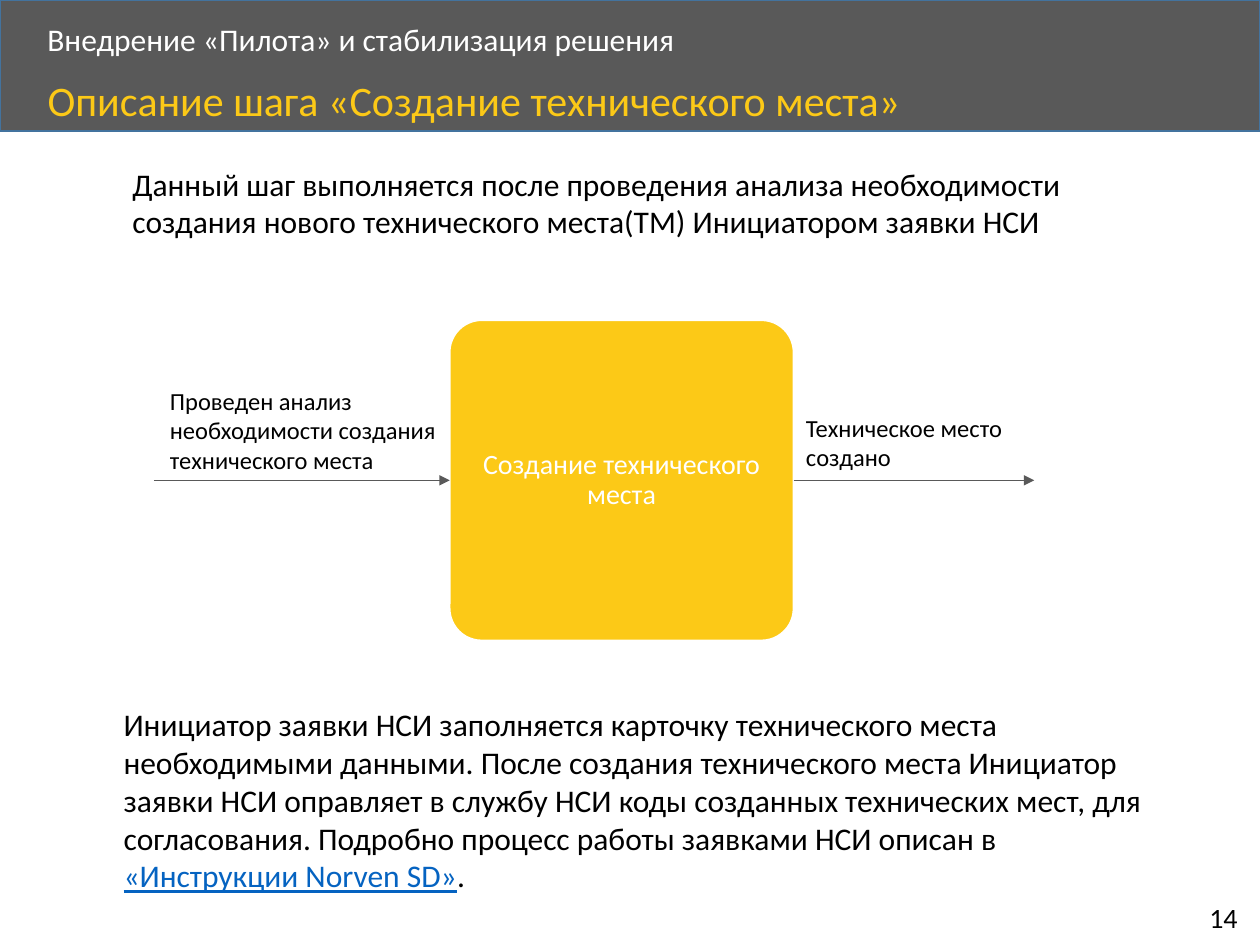
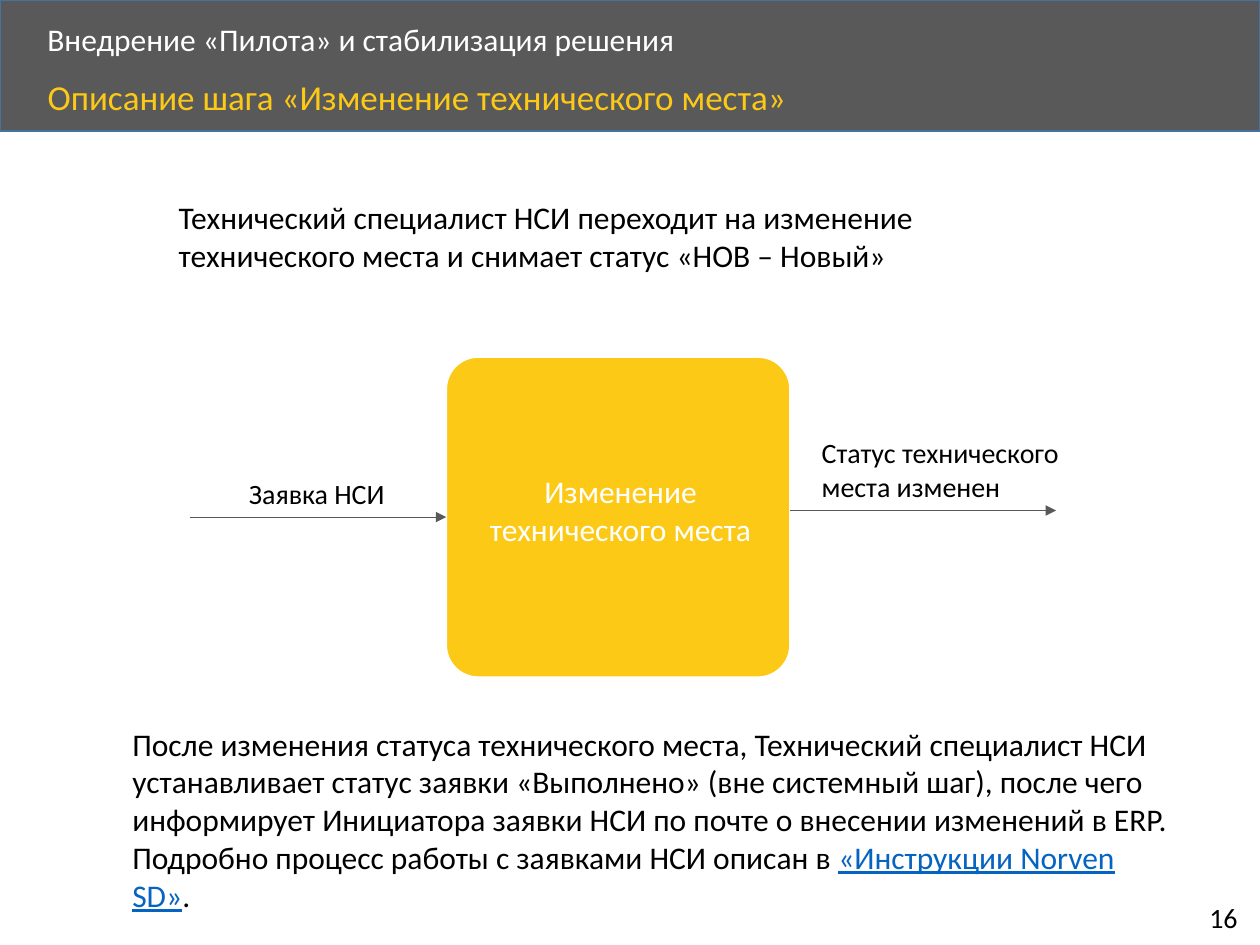
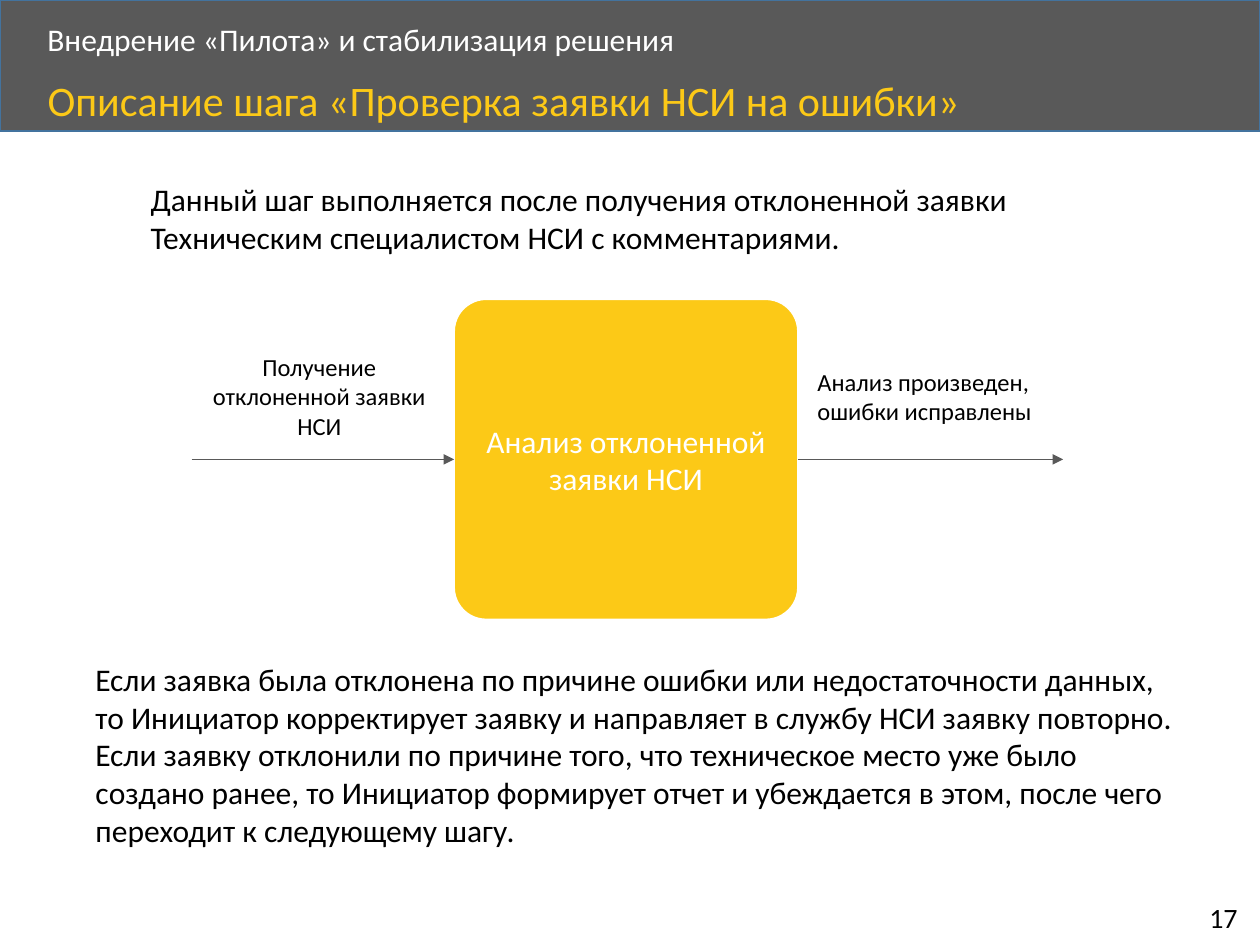
"""Build three slides that describe steps of the technical place process."""
import dataclasses

import lxml.etree
import pptx
import pptx.dml.color
import pptx.enum.shapes
import pptx.enum.text
import pptx.oxml.ns
import pptx.util

Pt = pptx.util.Pt
ALIGN = pptx.enum.text.PP_ALIGN
ANCHOR = pptx.enum.text.MSO_ANCHOR
AUTO_SIZE = pptx.enum.text.MSO_AUTO_SIZE
SHAPE = pptx.enum.shapes.MSO_SHAPE


@dataclasses.dataclass(frozen=True)
class Theme:
    font: str = "Calibri"
    grey: str = "595959"
    band_line: str = "43739E"
    yellow: str = "FCC917"
    white: str = "FFFFFF"
    black: str = "000000"
    link: str = "0563C1"
    heading: int = 24
    small_heading: int = 20
    body: int = 18
    label: int = 16
    small_label: int = 14


THEME = Theme()
BOX_WIDTH, BOX_HEIGHT = 196.5, 183


@dataclasses.dataclass(frozen=True)
class Label:
    text: str
    area: tuple
    size: int = THEME.small_label
    align: ALIGN = ALIGN.LEFT


@dataclasses.dataclass(frozen=True)
class Step:
    number: int
    heading: str
    intro: str
    intro_area: tuple
    action: str
    box_corner: tuple
    arrow_start: float
    arrow_end: float
    incoming: Label
    outgoing: Label
    details: tuple
    details_area: tuple
    heading_size: int = THEME.heading
    action_size: int = THEME.body
    action_spacing: float = 1.0
    action_margins: tuple = (7.2, 3.6, 7.2, 3.6)
    exit_rise: float = 0


STEPS = [
    Step(
        number=14,
        heading="Описание шага «Создание технического места»",
        intro="Данный шаг выполняется после проведения анализа необходимости создания "
              "нового технического места(ТМ) Инициатором заявки НСИ",
        intro_area=(68.5, 90.5, 586, 51),
        action="Создание технического места",
        action_size=THEME.label,
        action_spacing=0.9,
        action_margins=(5, 5, 5, 5),
        box_corner=(257, 183),
        arrow_start=88,
        arrow_end=591,
        incoming=Label("Проведен анализ необходимости создания технического места",
                       (90, 217, 173.5, 58)),
        outgoing=Label("Техническое место создано", (453.5, 232.5, 127.5, 41)),
        details=("Инициатор заявки НСИ заполняется карточку технического места необходимыми "
                 "данными. После создания технического места Инициатор заявки НСИ оправляет в "
                 "службу НСИ коды созданных технических мест, для согласования. Подробно процесс "
                 "работы заявками НСИ описан в ", "«Инструкции Norven SD»", "."),
        details_area=(63.5, 399.5, 608.5, 138),
    ),
    Step(
        number=16,
        heading="Описание шага «Изменение технического места»",
        heading_size=THEME.small_heading,
        intro="Технический специалист НСИ переходит на изменение технического места и снимает "
              "статус «НОВ – Новый»",
        intro_area=(95, 109.5, 517, 51),
        action="Изменение технического места",
        action_margins=(8.6, 3.6, 5.8, 11.5),
        box_corner=(255, 204),
        arrow_start=108.5,
        arrow_end=603.5,
        exit_rise=3.8,
        incoming=Label("Заявка НСИ", (135.2, 268.5, 100, 26.5), THEME.label),
        outgoing=Label("Статус технического места изменен",
                       (462.5, 245.5, 157.5, 46), THEME.label),
        details=("После изменения статуса технического места, Технический специалист НСИ "
                 "устанавливает статус заявки «Выполнено» (вне системный шаг), после чего "
                 "информирует Инициатора заявки НСИ по почте о внесении изменений в ERP. "
                 "Подробно процесс работы c заявками НСИ описан в ",
                 "«Инструкции Norven SD»", "."),
        details_area=(68.5, 410.5, 612.5, 138),
    ),
    Step(
        number=17,
        heading="Описание шага «Проверка заявки НСИ на ошибки»",
        intro="Данный шаг выполняется после получения отклоненной заявки Техническим "
              "специалистом НСИ с комментариями.",
        intro_area=(79, 99.5, 574, 51),
        action="Анализ отклоненной заявки НСИ",
        box_corner=(259.5, 171),
        arrow_start=109.5,
        arrow_end=607.5,
        incoming=Label("Получение отклоненной заявки НСИ",
                       (111.5, 197.5, 142, 58), align=ALIGN.CENTER),
        outgoing=Label("Анализ произведен, ошибки исправлены", (460, 206, 147.5, 41)),
        details=("Если заявка была отклонена по причине ошибки или недостаточности данных, то "
                 "Инициатор корректирует заявку и направляет в службу НСИ заявку повторно. Если "
                 "заявку отклонили по причине того, что техническое место уже было создано ранее, "
                 "то Инициатор формирует отчет и убеждается в этом, после чего переходит к "
                 "следующему шагу.",),
        details_area=(47.5, 373.5, 637, 117),
    ),
]


def color(value):
    return pptx.dml.color.RGBColor.from_string(value)


class Deck:
    def __init__(self, theme):
        self.theme = theme
        self.presentation = pptx.Presentation()
        self.presentation.slide_width = Pt(720)
        self.presentation.slide_height = Pt(540)
        self.layout = self.presentation.slide_layouts.get_by_name("Title Only")
        self.slide = None

    def add_slide(self):
        self.slide = self.presentation.slides.add_slide(self.layout)

    def share(self, shape):
        tree = self.layout.shapes.element
        shape.element.nvSpPr.cNvPr.id = 100 + len(tree)
        tree.append(shape.element)

    def format_text(self, frame, size, fill, align=ALIGN.LEFT, spacing=None):
        for paragraph in frame.paragraphs:
            paragraph.alignment = align
            paragraph.line_spacing = spacing
            for run in paragraph.runs:
                run.font.name = self.theme.font
                run.font.size = Pt(size)
                run.font.color.rgb = color(fill)

    def shape(self, kind, area, fill, line):
        shape = self.slide.shapes.add_shape(kind, *map(Pt, area))
        shape.shadow.inherit = False
        shape.fill.solid()
        shape.fill.fore_color.rgb = color(fill)
        shape.line.color.rgb = color(line)
        shape.line.width = Pt(1)
        return shape

    def text(self, text, area, size, fill=None, align=ALIGN.LEFT, spacing=None, wrap=True):
        box = self.slide.shapes.add_textbox(*map(Pt, area))
        frame = box.text_frame
        frame.text = text
        frame.word_wrap = wrap
        frame.auto_size = AUTO_SIZE.SHAPE_TO_FIT_TEXT
        self.format_text(frame, size, fill or self.theme.black, align, spacing)
        return box

    def label(self, label):
        self.text(label.text, label.area, label.size, align=label.align)

    def details(self, parts, area):
        box = self.text(parts[0], area, self.theme.body)
        paragraph = box.text_frame.paragraphs[0]
        for part in parts[1:]:
            paragraph.add_run().text = part
        self.format_text(box.text_frame, self.theme.body, self.theme.black)
        for run in paragraph.runs[1:2]:
            run.font.color.rgb = color(self.theme.link)
            run.font.underline = True

    def header(self, text):
        band = self.shape(SHAPE.RECTANGLE, (0, 0, 720, 75), self.theme.grey, self.theme.band_line)
        project = self.text(text, (20, 10, 581, 27.5), self.theme.body, self.theme.white,
                            spacing=0.9)
        project.text_frame.auto_size = AUTO_SIZE.NONE
        project.text_frame.vertical_anchor = ANCHOR.MIDDLE
        self.share(band)
        self.share(project)

    def heading(self, text, size):
        title = self.slide.shapes.title
        title.left, title.top, title.width, title.height = map(Pt, (20, 42.5, 624, 32.5))
        frame = title.text_frame
        frame.text = text
        frame.auto_size = AUTO_SIZE.NONE
        frame.vertical_anchor = ANCHOR.TOP
        self.format_text(frame, size, self.theme.yellow, spacing=0.9)

    def page_number(self, number):
        self.text(str(number), (684, 511, 33, 26.5), self.theme.label, wrap=False)

    def action(self, step):
        area = (*step.box_corner, BOX_WIDTH, BOX_HEIGHT)
        box = self.shape(SHAPE.ROUNDED_RECTANGLE, area, self.theme.yellow, self.theme.white)
        box.adjustments[0] = 0.1
        frame = box.text_frame
        frame.text = step.action
        frame.word_wrap = True
        frame.vertical_anchor = ANCHOR.MIDDLE
        (frame.margin_left, frame.margin_top,
         frame.margin_right, frame.margin_bottom) = map(Pt, step.action_margins)
        self.format_text(frame, step.action_size, self.theme.white, ALIGN.CENTER,
                         step.action_spacing)

    def arrow(self, start, end, height):
        connector = self.slide.shapes.add_connector(
            pptx.enum.shapes.MSO_CONNECTOR.STRAIGHT, Pt(start), Pt(height), Pt(end), Pt(height))
        connector.line.color.rgb = color(self.theme.grey)
        connector.line.width = Pt(0.5)
        qn = pptx.oxml.ns.qn
        properties = connector.element.spPr
        line = properties.find(qn("a:ln"))
        lxml.etree.SubElement(line, qn("a:tailEnd"), type="triangle")
        lxml.etree.SubElement(properties, qn("a:effectLst"))

    def step(self, step):
        self.heading(step.heading, step.heading_size)
        self.page_number(step.number)
        self.text(step.intro, step.intro_area, self.theme.body)
        self.action(step)
        left, top = step.box_corner
        middle = top + BOX_HEIGHT / 2
        self.arrow(step.arrow_start, left, middle)
        self.arrow(left + BOX_WIDTH, step.arrow_end, middle - step.exit_rise)
        self.label(step.incoming)
        self.label(step.outgoing)
        self.details(step.details, step.details_area)


def main():
    deck = Deck(THEME)
    for step in STEPS:
        deck.add_slide()
        if step is STEPS[0]:
            deck.header("Внедрение «Пилота» и стабилизация решения")
        deck.step(step)
    deck.presentation.save("out.pptx")


if __name__ == "__main__":
    main()
